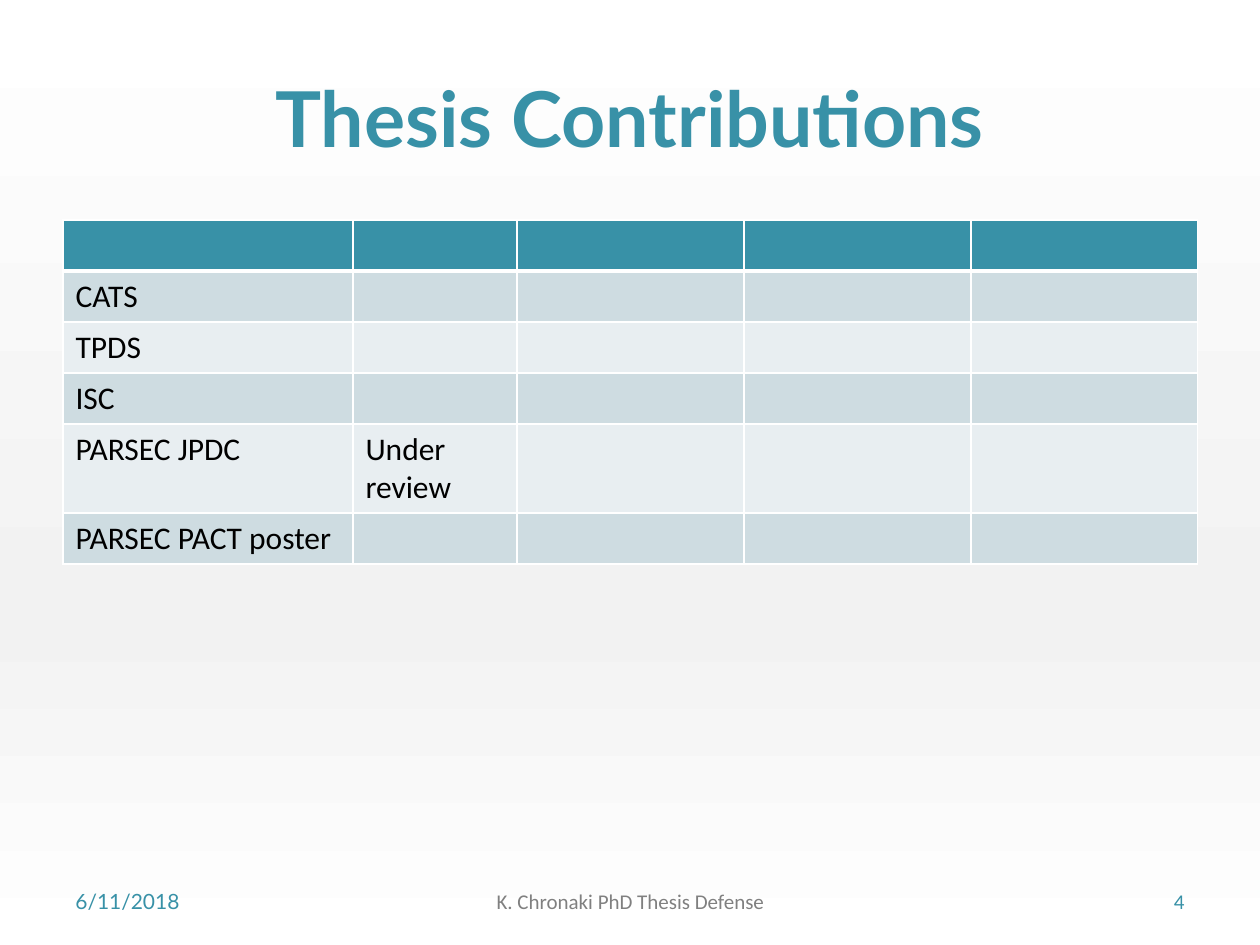
"""Build the thesis contributions slide with its publication table."""
import copy

import lxml.etree
import pptx
import pptx.dml.color
import pptx.enum.text
import pptx.oxml.ns
import pptx.util

SCALE = 914400 // 126
TEAL, GREY, BLACK, WHITE = "3891A7", "808080", "000000", "FFFFFF"
BANDS = ["CEDCE1", "E8EEF1"]
BACKDROP = [(0, WHITE), (0.65, "F2F2F2"), (1, WHITE)]
PUBLICATIONS = [
    ("", ""),
    ("CATS", ""),
    ("TPDS", ""),
    ("ISC", ""),
    ("PARSEC JPDC", "Under review"),
    ("PARSEC PACT poster", ""),
]
COLUMN_WIDTHS = [290, 164, 227, 227, 227]
ROW_HEIGHT, TALL_ROW_HEIGHT = 51, 89
HEADINGS = [
    ("Thesis Contributions", (63, 38, 1134, 157),
     dict(size=44, font="Lato", color=TEAL, bold=True, align="CENTER")),
    ("6/11/2018", (63, 876, 294, 50), dict(size=12, font="Lato", color=TEAL)),
    ("K. Chronaki PhD Thesis Defense", (431, 876, 399, 50),
     dict(size=12, color=GREY, align="CENTER")),
    ("4", (903, 876, 294, 50), dict(size=12, color=TEAL, align="RIGHT")),
]


def px(length):
    return pptx.util.Emu(length * SCALE)


def rgb(value):
    return pptx.dml.color.RGBColor.from_string(value)


def write(frame, text, size=18, font="Calibri", color=BLACK, bold=False, align="LEFT"):
    line = frame.paragraphs[0]
    line.alignment = getattr(pptx.enum.text.PP_ALIGN, align)
    style = line.font
    if text:
        run = line.add_run()
        run.text = text
        style = run.font
    style.size = pptx.util.Pt(size)
    style.name = font
    style.bold = bold
    style.color.rgb = rgb(color)


def paint_cell(cell, fill, bottom):
    qn = pptx.oxml.ns.qn
    properties = cell._tc.get_or_add_tcPr()
    for side, points in (("L", 1), ("R", 1), ("T", 1), ("B", bottom)):
        border = lxml.etree.SubElement(properties, qn(f"a:ln{side}"), w=str(points * 12700))
        solid = lxml.etree.SubElement(border, qn("a:solidFill"))
        lxml.etree.SubElement(solid, qn("a:srgbClr"), val=WHITE)
    cell.fill.solid()
    cell.fill.fore_color.rgb = rgb(fill)


deck = pptx.Presentation()
deck.slide_width, deck.slide_height = px(1260), px(945)
slide = deck.slides.add_slide(deck.slide_layouts[6])

backdrop = slide.background.fill
backdrop.gradient()
backdrop.gradient_angle = 270
stops = slide.element.find(".//" + pptx.oxml.ns.qn("a:gsLst"))
stops.append(copy.deepcopy(stops[0]))
for stop, (position, shade) in zip(backdrop.gradient_stops, BACKDROP):
    stop.position = position
    stop.color.rgb = rgb(shade)

for text, box, style in HEADINGS:
    frame = slide.shapes.add_textbox(*map(px, box)).text_frame
    frame.word_wrap = True
    frame.vertical_anchor = pptx.enum.text.MSO_ANCHOR.MIDDLE
    write(frame, text, **style)

row_heights = [TALL_ROW_HEIGHT if status else ROW_HEIGHT for _, status in PUBLICATIONS]
publications = slide.shapes.add_table(
    len(PUBLICATIONS), len(COLUMN_WIDTHS),
    px(63), px(220), px(sum(COLUMN_WIDTHS)), px(sum(row_heights))).table
for column, width in zip(publications.columns, COLUMN_WIDTHS):
    column.width = px(width)
for index, (row, entry) in enumerate(zip(publications.rows, PUBLICATIONS)):
    row.height = px(row_heights[index])
    fill = BANDS[(index - 1) % 2] if index else TEAL
    for position, cell in enumerate(row.cells):
        paint_cell(cell, fill, bottom=1 if index else 3)
        write(cell.text_frame, entry[position] if position < len(entry) else "")

deck.save("out.pptx")
